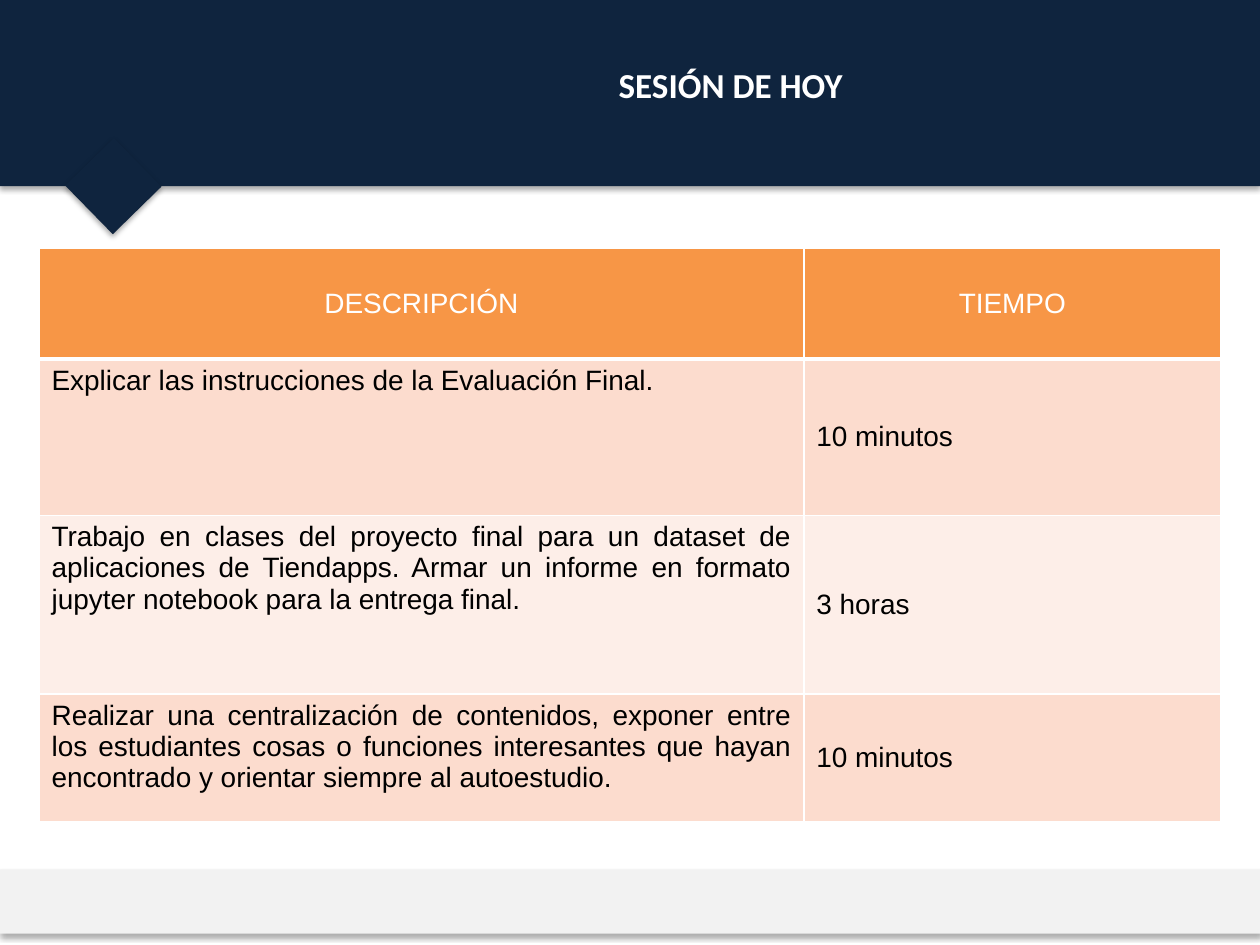
from dataclasses import dataclass

from lxml import etree
from pptx import Presentation
from pptx import util as u
from pptx.dml.color import RGBColor
from pptx.enum import shapes, text
from pptx.oxml import parse_xml
from pptx.oxml.ns import nsdecls, qn


@dataclass(frozen=True)
class Theme:
    navy: str = "0F243E"
    grey: str = "F2F2F2"
    white: str = "FFFFFF"
    black: str = "000000"
    header: str = "F79646"
    bands: tuple = ("FCDCCE", "FDEEE8")
    title_font: str = "Calibri"
    body_font: str = "Arial"
    title_size: int = 20
    body_size: int = 16
    thin: int = 1
    thick: int = 3


THEME = Theme()
WIDTH, HEIGHT = u.Inches(10), u.Inches(7.5)
COLUMNS = (6.07, 3.31)
ROWS = (0.88, 1.24, 1.42, 1.01)
AGENDA = (
    ("DESCRIPCIÓN", "TIEMPO"),
    ("Explicar las instrucciones de la Evaluación Final.", "10 minutos"),
    ("Trabajo en clases del proyecto final para un dataset de aplicaciones de "
     "Tiendapps. Armar un informe en formato jupyter notebook para la entrega final.",
     "3 horas"),
    ("Realizar una centralización de contenidos, exponer entre los estudiantes cosas "
     "o funciones interesantes que hayan encontrado y orientar siempre al autoestudio.",
     "10 minutos"),
)


def box(left, top, width, height):
    """Turn shares of the slide's size into lengths."""
    return (int(left * WIDTH), int(top * HEIGHT),
            int(width * WIDTH), int(height * HEIGHT))


def write(frame, words, alignment, color, **font_values):
    paragraph = frame.paragraphs[0]
    paragraph.alignment = alignment
    run = paragraph.add_run()
    run.text = words
    for name, value in font_values.items():
        setattr(run.font, name, value)
    run.font.color.rgb = RGBColor.from_string(color)


def add_soft_shadow(shape):
    shape.shadow.inherit = False
    effects = shape._element.spPr.find(qn("a:effectLst"))
    effects.append(parse_xml(
        f'<a:outerShdw {nsdecls("a")} blurRad="{u.Pt(3.1)}" dist="{u.Pt(1.8)}" '
        'dir="5400000" rotWithShape="0"><a:srgbClr val="000000">'
        '<a:alpha val="33000"/></a:srgbClr></a:outerShdw>'))


def add_block(slide, place, color, rotation=0):
    shape = slide.shapes.add_shape(shapes.MSO_SHAPE.RECTANGLE, *place)
    shape.fill.solid()
    shape.fill.fore_color.rgb = RGBColor.from_string(color)
    shape.line.fill.background()
    shape.rotation = rotation
    add_soft_shadow(shape)


def add_title(slide, place, words):
    frame = slide.shapes.add_textbox(*place).text_frame
    frame.word_wrap = True
    write(frame, words, text.PP_ALIGN.CENTER, THEME.white, bold=True,
          name=THEME.title_font, size=u.Pt(THEME.title_size))


def set_borders(cell, widths):
    properties = cell._tc.get_or_add_tcPr()
    for side, width in zip("LRTB", widths):
        line = etree.SubElement(properties, qn(f"a:ln{side}"), w=str(u.Pt(width)))
        fill = etree.SubElement(line, qn("a:solidFill"))
        etree.SubElement(fill, qn("a:srgbClr"), val=THEME.white)


def format_cell(cell, words, row, column):
    is_header = row == 0
    align = text.PP_ALIGN
    centred = is_header or column == 1
    cell.vertical_anchor = text.MSO_ANCHOR.MIDDLE if centred else text.MSO_ANCHOR.TOP
    write(cell.text_frame, words, align.CENTER if is_header else align.JUSTIFY,
          THEME.white if is_header else THEME.black, bold=False,
          name=THEME.body_font, size=u.Pt(THEME.body_size))
    top = THEME.thick if row == 1 else THEME.thin
    bottom = THEME.thick if is_header else THEME.thin
    set_borders(cell, (THEME.thin, THEME.thin, top, bottom))
    color = THEME.header if is_header else THEME.bands[(row - 1) % 2]
    cell.fill.solid()
    cell.fill.fore_color.rgb = RGBColor.from_string(color)


def add_agenda(slide, left, top):
    size = u.Inches(sum(COLUMNS)), u.Inches(sum(ROWS))
    table = slide.shapes.add_table(len(ROWS), len(COLUMNS), left, top, *size).table
    for column, width in zip(table.columns, COLUMNS):
        column.width = u.Inches(width)
    for row, height in zip(table.rows, ROWS):
        row.height = u.Inches(height)
    for row, entries in enumerate(AGENDA):
        for column, words in enumerate(entries):
            format_cell(table.cell(row, column), words, row, column)


def main():
    presentation = Presentation()
    presentation.slide_width, presentation.slide_height = WIDTH, HEIGHT
    slide = presentation.slides.add_slide(presentation.slide_layouts[6])
    add_block(slide, box(0, 0, 1, 0.197), THEME.navy)
    add_block(slide, box(0, 0.92, 1, 0.068), THEME.grey, rotation=180)
    add_block(slide, box(0.063, 0.161, 0.054, 0.072), THEME.navy, rotation=45.6)
    add_title(slide, box(0.223, 0.061, 0.714, 0.059), "SESIÓN DE HOY")
    add_agenda(slide, u.Inches(0.31), u.Inches(1.97))
    presentation.save("out.pptx")


if __name__ == "__main__":
    main()
